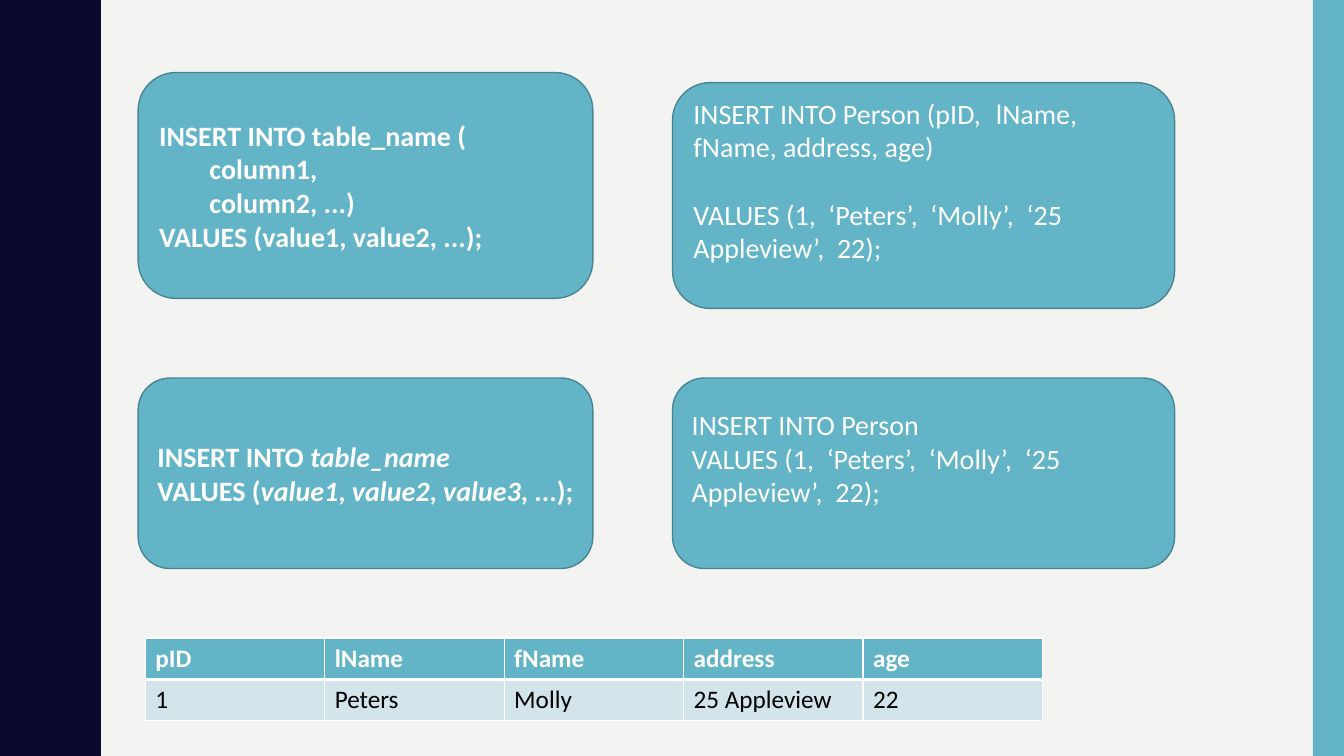
from lxml import etree
from pptx import Presentation
from pptx.dml.color import RGBColor
from pptx.enum.shapes import MSO_SHAPE
from pptx.enum.text import MSO_ANCHOR, PP_ALIGN
from pptx.oxml.ns import qn
from pptx.util import Inches, Pt

RECT, ROUND = MSO_SHAPE.RECTANGLE, MSO_SHAPE.ROUNDED_RECTANGLE
LEFT, MIDDLE = PP_ALIGN.LEFT, MSO_ANCHOR.MIDDLE

WIDE, HIGH = 13.33, 7.5
FONT = "Calibri"
HUES = {"paper": "F3F3F2", "navy": "0B082E", "teal": "62B4C6",
        "edge": "498592", "pale": "D3E5EA", "white": "FFFFFF",
        "black": "000000"}

# Grid of the four cards: (start, size) of each column; left and right share rows
COLS = [(1.37, 4.51), (6.67, 4.98)]
TOPS = [(0.72, 2.24), (3.75, 1.89)]
DROP = 0.1   # the upper right card sits a little lower
LINE = 24    # height of one 20 pt text line, in points
TAIL = 0.35  # bottom inset that lifts the text of the right cards

# Wave edge: a quarter of one period as (offset, height)
BASE, SWING, HALF = 0.78, 0.19, 0.75
BEND = [(0, 0), (0, 0.07), (0.01, 0.14), (0.02, 0.2),
        (0.03, 0.25), (0.05, 0.29), (0.07, 0.33)]


def hue(name):
    return RGBColor.from_string(HUES[name])


def paint(shape, fill, edge=None):
    shape.shadow.inherit = False
    shape.fill.solid()
    shape.fill.fore_color.rgb = hue(fill)
    if edge:
        shape.line.color.rgb = hue(edge)
        shape.line.width = Pt(1)
    else:
        shape.line.fill.background()


def add_run(para, text, size, color="white", bold=False, italic=False):
    run = para.add_run()
    run.text = text
    font = run.font
    font.name, font.size = FONT, Pt(size)
    font.bold, font.italic = bold, italic
    font.color.rgb = hue(color)


def add_wave(slide):
    rise = BEND + [(SWING - x, HALF - y) for x, y in reversed(BEND)]
    fall = [(x, 2 * HALF - y) for x, y in reversed(rise)]
    edge = [(BASE + x, y + 2 * HALF * turn)
            for turn in range(round(HIGH / (2 * HALF)))
            for x, y in rise + fall[1:]]
    pen = slide.shapes.build_freeform(0, 0, scale=Inches(1))
    pen.add_line_segments(edge + [(0, HIGH)], close=True)
    paint(pen.convert_to_shape(), "navy")


def add_band(slide):
    wide = 0.31
    band = slide.shapes.add_shape(RECT, Inches(WIDE - wide), 0,
                                  Inches(wide), Inches(HIGH))
    paint(band, "teal")


def add_card(slide, col, row, lines, drop=0, bold=False, foot=0.05, right=0.1):
    """Each line is (runs, indent in inches, space before in points)."""
    (x, wide), (y, high) = COLS[col], TOPS[row]
    card = slide.shapes.add_shape(ROUND, Inches(x), Inches(y + drop),
                                  Inches(wide), Inches(high))
    paint(card, "teal", "edge")
    frame = card.text_frame
    frame.word_wrap = True
    frame.vertical_anchor = MIDDLE
    frame.margin_bottom, frame.margin_right = Inches(foot), Inches(right)
    for i, (runs, indent, gap) in enumerate(lines):
        para = frame.add_paragraph() if i else frame.paragraphs[0]
        para.alignment = LEFT
        para.space_before = Pt(gap)
        if indent:
            props = para._p.get_or_add_pPr()
            props.set("marL", str(Inches(indent)))
            props.set("indent", "0")
        for text, italic in runs:
            add_run(para, text, 20, bold=bold, italic=italic)


def add_edge(cell, side, width):
    line = etree.SubElement(cell._tc.get_or_add_tcPr(), qn("a:ln" + side),
                            w=str(Pt(width)))
    fill = etree.SubElement(line, qn("a:solidFill"))
    etree.SubElement(fill, qn("a:srgbClr"), val=HUES["white"])


def add_grid(slide, rows):
    wide, high = 1.78, 0.41
    count = len(rows[0])
    frame = slide.shapes.add_table(len(rows), count, Inches(1.44), Inches(6.33),
                                   Inches(wide * count),
                                   Inches(high * len(rows)))
    table = frame.table
    for col in table.columns:
        col.width = Inches(wide)
    for r, row in enumerate(rows):
        table.rows[r].height = Inches(high)
        head = r == 0
        for c, text in enumerate(row):
            cell = table.cell(r, c)
            for side, width in zip("LRTB", (1, 1, 1 if head else 3,
                                            3 if head else 1)):
                add_edge(cell, side, width)
            cell.fill.solid()
            cell.fill.fore_color.rgb = hue("teal" if head else "pale")
            add_run(cell.text_frame.paragraphs[0], text, 18,
                    "white" if head else "black", bold=head)


def main():
    deck = Presentation()
    deck.slide_width, deck.slide_height = Inches(WIDE), Inches(HIGH)
    slide = deck.slides.add_slide(deck.slide_layouts[6])
    slide.background.fill.solid()
    slide.background.fill.fore_color.rgb = hue("paper")

    # Side decoration
    add_wave(slide)
    add_band(slide)

    # Syntax on the left, example on the right
    values = [("VALUES (1,  ‘Peters’,  ‘Molly’,  ‘25 Appleview’,  22);", False)]
    add_card(slide, 0, 0, [
        ([("INSERT INTO table_name (", False)], 0, 0),
        ([("column1,", False)], 0.5, 0),
        ([("column2, ...)", False)], 0.5, 0),
        ([("VALUES (value1, value2, ...);", False)], 0, 0)], bold=True)
    add_card(slide, 1, 0, [
        ([("INSERT INTO Person (pID, \tlName, fName, address, age)", False)],
         0, 0),
        (values, 0, LINE)], drop=DROP, foot=TAIL)
    add_card(slide, 0, 1, [
        ([("INSERT INTO ", False), ("table_name", True)], 0, 0),
        ([("VALUES (", False), ("value1", True), (",", False),
          (" value2", True), (",", False), (" value3", True),
          (", ...);", False)], 0, 0)], bold=True, right=0)
    add_card(slide, 1, 1, [
        ([("INSERT INTO Person", False)], 0, 0),
        (values, 0, 0)], foot=TAIL)

    # Resulting row
    add_grid(slide, [["pID", "lName", "fName", "address", "age"],
                     ["1", "Peters", "Molly", "25 Appleview", "22"]])
    deck.save("out.pptx")


if __name__ == "__main__":
    main()
